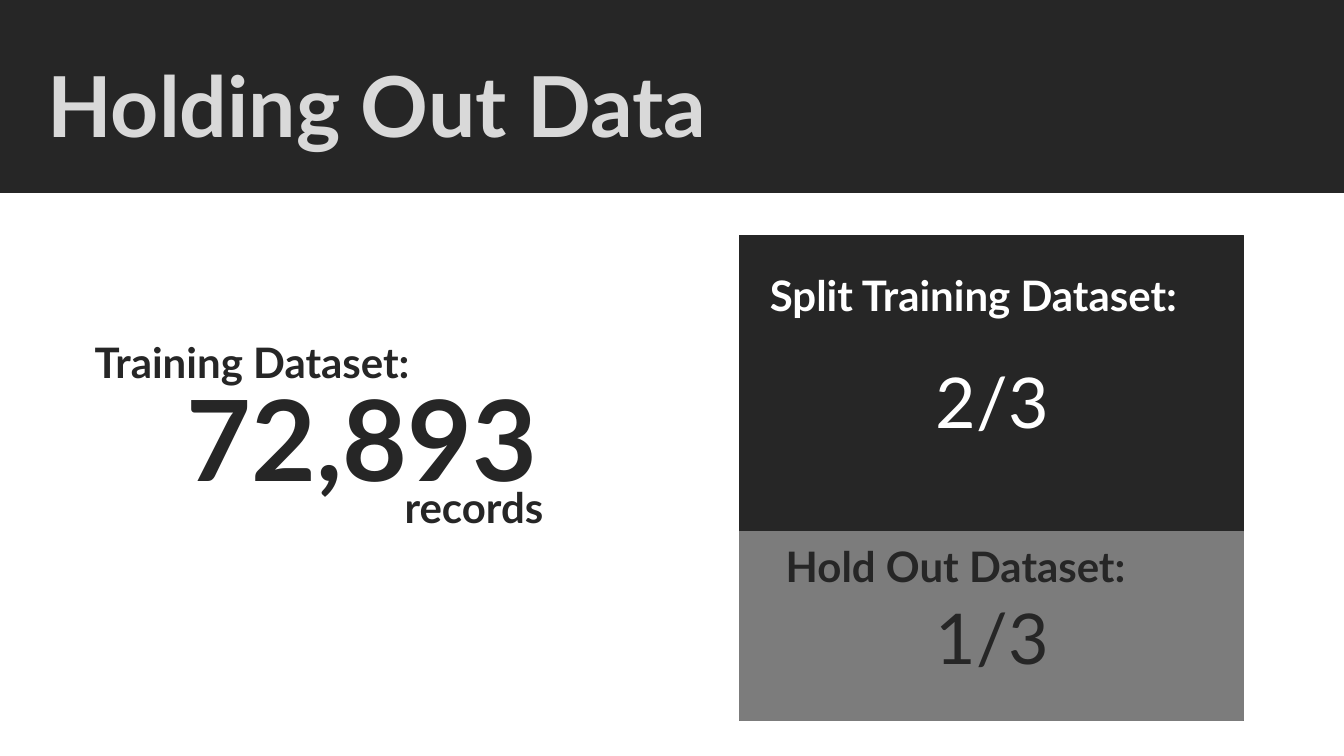
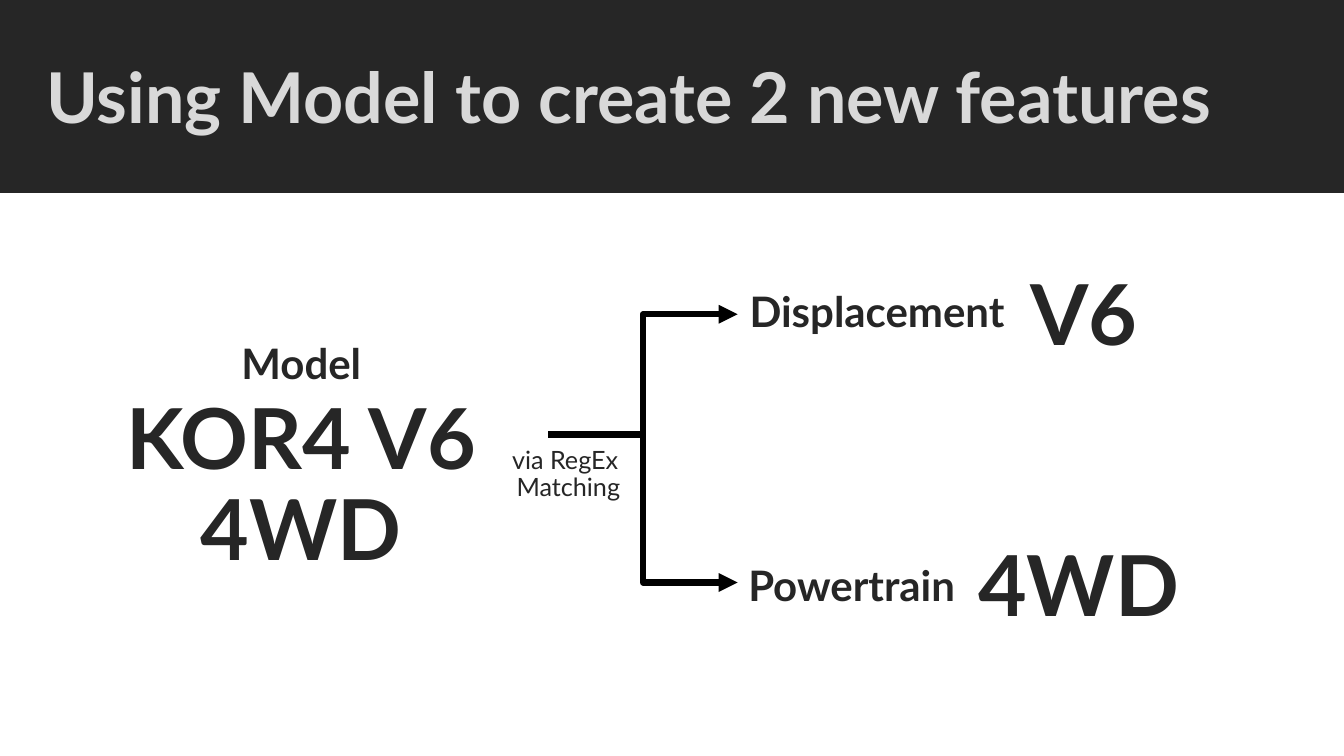
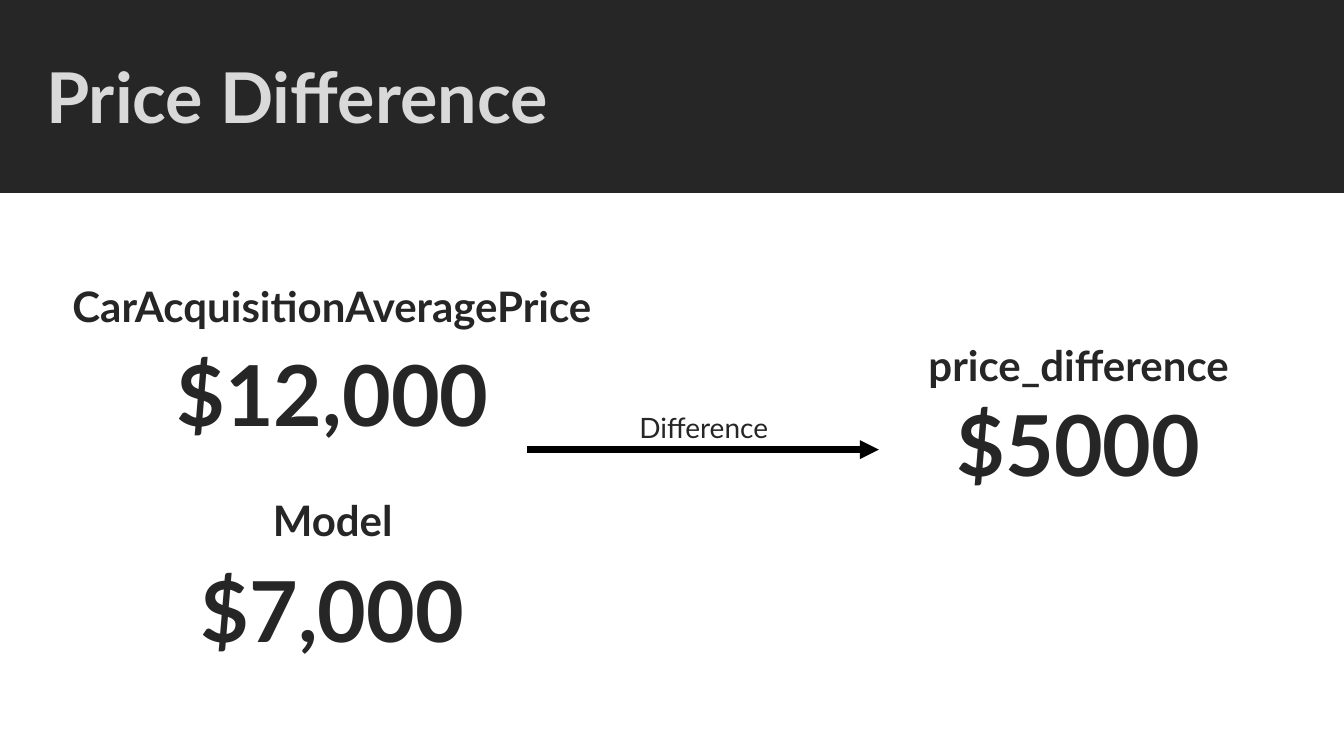
from dataclasses import dataclass

from lxml import etree
from pptx import Presentation
from pptx.dml.color import RGBColor
from pptx.enum.shapes import MSO_CONNECTOR, MSO_SHAPE
from pptx.enum.text import MSO_ANCHOR, MSO_AUTO_SIZE, PP_ALIGN
from pptx.oxml.ns import qn
from pptx.util import Cm, Pt

RECT = MSO_SHAPE.RECTANGLE
STRAIGHT, ELBOW = MSO_CONNECTOR.STRAIGHT, MSO_CONNECTOR.ELBOW
LEFT, CENTER = PP_ALIGN.LEFT, PP_ALIGN.CENTER
COLORS = {"dark": "262626", "title": "D9D9D9", "grey": "7C7C7C", "white": "FFFFFF", "line": "000000"}
FRAME = {"word_wrap": True, "auto_size": MSO_AUTO_SIZE.NONE, "vertical_anchor": MSO_ANCHOR.BOTTOM}
SLIDE_W, SLIDE_H, BAND_H = 33.87, 19.05, 4.85
TITLE_ONLY = 5


@dataclass(frozen=True)
class Style:
    size: float
    width: float
    height: float
    bold: bool = True


HEADING = Style(30, 11.79, 1.68)
WIDE_HEADING = Style(30, 15.42, 1.68)
UNIT = Style(30, 11.79, 2.9)
VALUE = Style(60, 12.7, 2.9)
TOTAL = Style(80, 9.68, 2.9)
SHARE = Style(50, 9.68, 2.9, False)
REGEX_NOTE = Style(18, 11.79, 1.68, False)
ARROW_NOTE = Style(20, 11.79, 1.68, False)
MAIN_TITLE = Style(60, 22.28, 3.25)
TITLE = Style(50, 32.59, 3.25)


@dataclass(frozen=True)
class Label:
    text: str
    left: float
    top: float
    style: Style
    color: str = "dark"


@dataclass(frozen=True)
class Block:
    left: float
    top: float
    width: float
    height: float
    color: str


@dataclass(frozen=True)
class Arrow:
    kind: MSO_CONNECTOR
    x1: float
    y1: float
    x2: float
    y2: float


@dataclass(frozen=True)
class Page:
    title: Label
    labels: tuple[Label, ...]
    blocks: tuple[Block, ...] = ()
    arrows: tuple[Arrow, ...] = ()


BAND = Block(0, 0, SLIDE_W, BAND_H, "dark")
PAGES = (
    Page(
        Label("Holding Out Data", 0.94, 0.79, MAIN_TITLE, "title"),
        (
            Label("Training Dataset:", 0.46, 8.2, HEADING),
            Label("72,893", 4.29, 9.98, TOTAL),
            Label("records", 6.05, 10.64, UNIT),
            Label("Split Training Dataset:", 18.64, 6.53, HEADING, "white"),
            Label("2/3", 20.17, 8.41, SHARE, "white"),
            Label("Hold Out Dataset:", 18.19, 13.36, HEADING),
            Label("1/3", 20.17, 14.35, SHARE),
        ),
        blocks=(
            Block(18.64, 5.94, 12.7, 12.2, "dark"),
            Block(18.64, 13.39, 12.7, 4.75, "grey"),
        ),
    ),
    Page(
        Label("Using Model to create 2 new features", 0.91, 0.36, TITLE, "title"),
        (
            Label("Model", 1.7, 8.23, HEADING),
            Label("KOR4 V6 4WD", 1.24, 11.81, VALUE),
            Label("Displacement", 16.21, 6.93, HEADING),
            Label("V6", 20.96, 6.4, VALUE),
            Label("Powertrain", 15.57, 13.84, HEADING),
            Label("4WD", 20.83, 13.23, VALUE),
            Label("via RegEx \nMatching", 8.43, 11.1, REGEX_NOTE),
        ),
        arrows=tuple(Arrow(ELBOW, 13.82, 10.95, 18.59, y) for y in (7.92, 14.68)),
    ),
    Page(
        Label("Price Difference", 0.91, 0.36, TITLE, "title"),
        (
            Label("CarAcquisitionAveragePrice", 0.66, 6.81, WIDE_HEADING),
            Label("$12,000", 2.03, 8.43, VALUE),
            Label("Model", 2.49, 12.19, HEADING),
            Label("$7,000", 2.03, 13.87, VALUE),
            Label("Difference", 11.84, 9.65, ARROW_NOTE),
            Label("price_difference", 21.29, 8.28, HEADING),
            Label("$5000", 20.83, 9.7, VALUE),
        ),
        arrows=(Arrow(STRAIGHT, 13.28, 11.33, 22.15, 11.33),),
    ),
)


def set_all(obj, values: dict) -> None:
    for name, value in values.items():
        setattr(obj, name, value)


def rgb(color: str) -> RGBColor:
    return RGBColor.from_string(COLORS[color])


def write(sp, label: Label, align: PP_ALIGN) -> None:
    style = label.style
    set_all(sp, {
        "left": Cm(label.left), "top": Cm(label.top),
        "width": Cm(style.width), "height": Cm(style.height),
    })
    tf = sp.text_frame
    set_all(tf, FRAME)
    tf.text = label.text
    for p in tf.paragraphs:
        set_all(p, {"alignment": align, "line_spacing": 0.9, "space_before": Pt(0)})
        for r in p.runs:
            set_all(r.font, {"name": "Lato", "size": Pt(style.size), "bold": style.bold})
            r.font.color.rgb = rgb(label.color)


def add_label(slide, label: Label) -> None:
    write(slide.shapes.add_textbox(0, 0, 0, 0), label, CENTER)


def add_block(slide, block: Block):
    box = (block.left, block.top, block.width, block.height)
    sp = slide.shapes.add_shape(RECT, *map(Cm, box))
    sp.shadow.inherit = False
    sp.fill.solid()
    sp.fill.fore_color.rgb = rgb(block.color)
    sp.line.color.rgb = rgb(block.color)
    sp.line.width = Pt(1)
    return sp


def add_arrow(slide, arrow: Arrow) -> None:
    ends = (arrow.x1, arrow.y1, arrow.x2, arrow.y2)
    line = slide.shapes.add_connector(arrow.kind, *map(Cm, ends))
    line.line.color.rgb = rgb("line")
    line.line.width = Pt(4.5)
    etree.SubElement(line.line._get_or_add_ln(), qn("a:tailEnd"), type="triangle")
    etree.SubElement(line._element.spPr, qn("a:effectLst"))


def add_page(prs, page: Page) -> None:
    slide = prs.slides.add_slide(prs.slide_layouts[TITLE_ONLY])
    title = slide.shapes.title
    write(title, page.title, LEFT)
    band = add_block(slide, BAND)
    title._element.addprevious(band._element)
    for block in page.blocks:
        add_block(slide, block)
    for label in page.labels:
        add_label(slide, label)
    for arrow in page.arrows:
        add_arrow(slide, arrow)


def main() -> None:
    prs = Presentation()
    set_all(prs, {"slide_width": Cm(SLIDE_W), "slide_height": Cm(SLIDE_H)})
    for page in PAGES:
        add_page(prs, page)
    prs.save("out.pptx")


if __name__ == "__main__":
    main()
